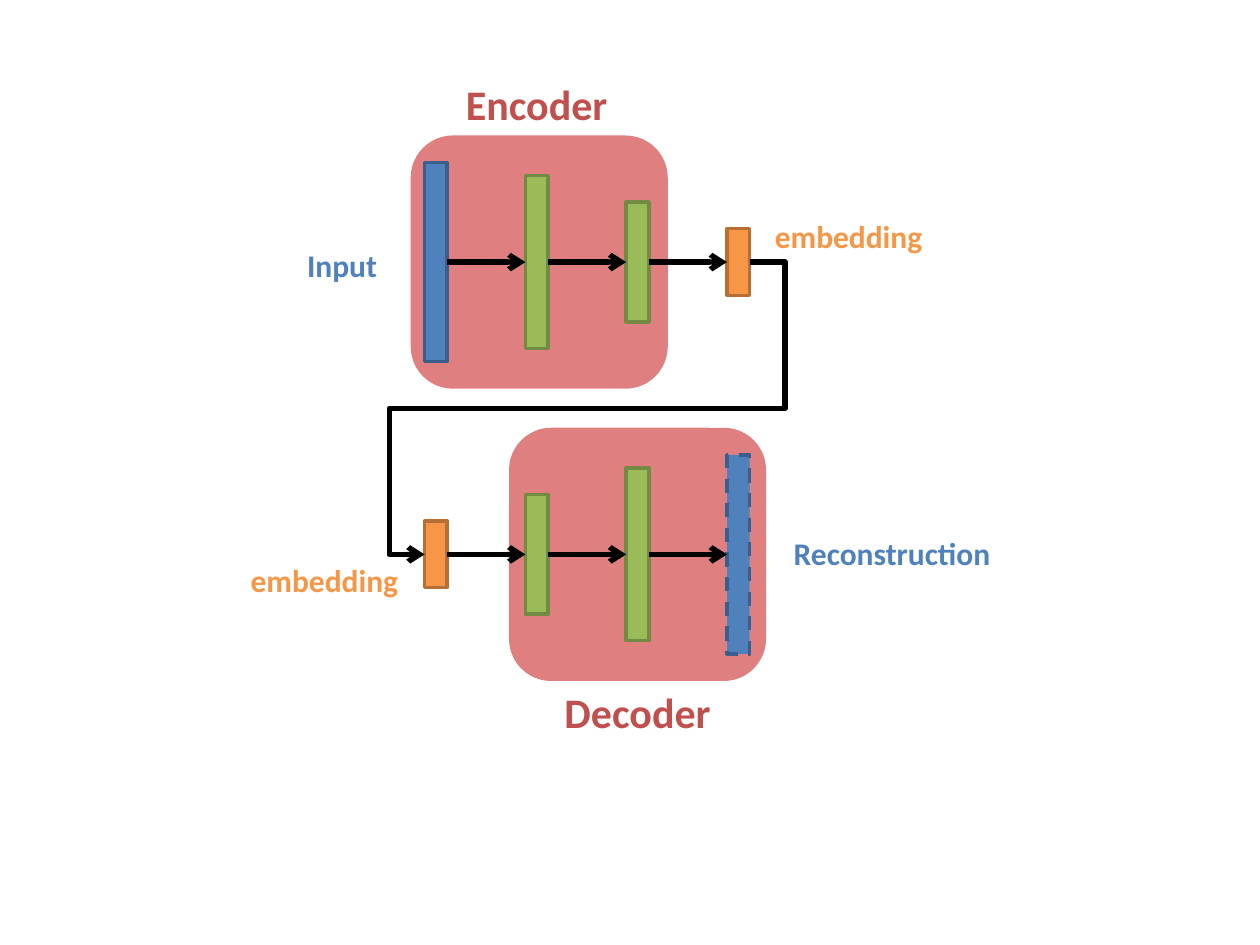
from itertools import pairwise
from pptx import Presentation
from pptx.dml.color import RGBColor
from pptx.enum.dml import MSO_LINE
from pptx.enum.shapes import MSO_CONNECTOR, MSO_SHAPE
from pptx.enum.text import MSO_ANCHOR, PP_ALIGN
from pptx.oxml.ns import qn
from pptx.util import Inches, Pt
from lxml.etree import SubElement

BLACK = RGBColor(0x00, 0x00, 0x00)
PANEL = RGBColor(0xC0, 0x00, 0x00)
RED = RGBColor(0xC0, 0x50, 0x4D)
BLUE = RGBColor(0x4F, 0x81, 0xBD)
NAVY = RGBColor(0x3A, 0x5F, 0x8C)
GREEN = RGBColor(0x9B, 0xBB, 0x59)
OLIVE = RGBColor(0x73, 0x8A, 0x42)
ORANGE = RGBColor(0xF7, 0x96, 0x46)
BROWN = RGBColor(0xB7, 0x6F, 0x34)

LEFT, STEP, BAR = 3.37, 0.8, 0.18
TOP_ROW, LOW_ROW = 2.08, 4.4
LAYERS = [(1.58, BLUE, NAVY), (1.37, GREEN, OLIVE),
          (0.95, GREEN, OLIVE), (0.53, ORANGE, BROWN)]


def add_box(slide, kind, x, y, w, h, fill):
    box = slide.shapes.add_shape(kind, Inches(x), Inches(y), Inches(w), Inches(h))
    box.shadow.inherit = False
    box.fill.solid()
    box.fill.fore_color.rgb = fill
    return box


def add_panel(slide, x, mid):
    w, h = 2.04, 2.01
    box = add_box(slide, MSO_SHAPE.ROUNDED_RECTANGLE, x, mid - h / 2, w, h, PANEL)
    box.line.fill.background()
    color = box.fill._xPr.find(qn("a:solidFill"))[0]
    SubElement(color, qn("a:alpha")).set("val", "50000")


def add_bars(slide, mid, layers):
    bars = []
    for i, (h, fill, edge) in enumerate(layers):
        bar = add_box(slide, MSO_SHAPE.RECTANGLE, LEFT + i * STEP, mid - h / 2,
                      BAR, h, fill)
        bar.line.color.rgb = edge
        bar.line.width = Pt(2)
        bars.append(bar)
    return bars


def add_arrow(slide, start, end, kind=MSO_CONNECTOR.STRAIGHT):
    arrow = slide.shapes.add_connector(kind, 0, 0, 0, 0)
    arrow.begin_connect(start, 3)
    arrow.end_connect(end, 1)
    arrow.line.color.rgb = BLACK
    arrow.line.width = Pt(3)
    line = arrow.line._get_or_add_ln()
    SubElement(line, qn("a:tailEnd")).set("type", "arrow")
    SubElement(arrow._element.spPr, qn("a:effectLst"))
    return arrow


def add_loop(slide, start, end):
    arrow = add_arrow(slide, start, end, MSO_CONNECTOR.ELBOW)
    geom = arrow._element.spPr.find(qn("a:prstGeom"))
    geom.set("prst", "bentConnector5")
    guides = geom.find(qn("a:avLst"))
    for i, val in enumerate((-10900, 50000, 110900), 1):
        guide = SubElement(guides, qn("a:gd"))
        guide.set("name", f"adj{i}")
        guide.set("fmla", f"val {val}")


def add_label(slide, text, x, y, w, color, size=18):
    h = 0.4 if size == 18 else 0.5
    box = slide.shapes.add_textbox(Inches(x), Inches(y), Inches(w), Inches(h))
    frame = box.text_frame
    frame.word_wrap = True
    frame.vertical_anchor = MSO_ANCHOR.MIDDLE
    para = frame.paragraphs[0]
    para.text = text
    para.alignment = PP_ALIGN.CENTER
    font = para.font
    font.name = "Calibri"
    font.size = Pt(size)
    font.bold = True
    font.color.rgb = color


def main():
    deck = Presentation()
    deck.slide_width, deck.slide_height = Inches(10), Inches(7.5)
    slide = deck.slides.add_slide(deck.slide_layouts[6])

    add_panel(slide, 4.04, LOW_ROW)
    add_panel(slide, 3.26, TOP_ROW)
    upper = add_bars(slide, TOP_ROW, LAYERS)
    lower = add_bars(slide, LOW_ROW, LAYERS[::-1])
    lower[-1].line.dash_style = MSO_LINE.DASH
    for row in (upper, lower):
        for start, end in pairwise(row):
            add_arrow(slide, start, end)
    add_loop(slide, upper[-1], lower[0])

    add_label(slide, "Encoder", 3.53, 0.57, 1.46, RED, 24)
    add_label(slide, "Input", 2.18, 1.9, 1.07, BLUE)
    add_label(slide, "embedding", 5.94, 1.67, 1.59, ORANGE)
    add_label(slide, "embedding", 1.78, 4.4, 1.59, ORANGE)
    add_label(slide, "Reconstruction", 6.08, 4.19, 2, BLUE)
    add_label(slide, "Decoder", 4.33, 5.4, 1.46, RED, 24)
    deck.save("out.pptx")


main()
